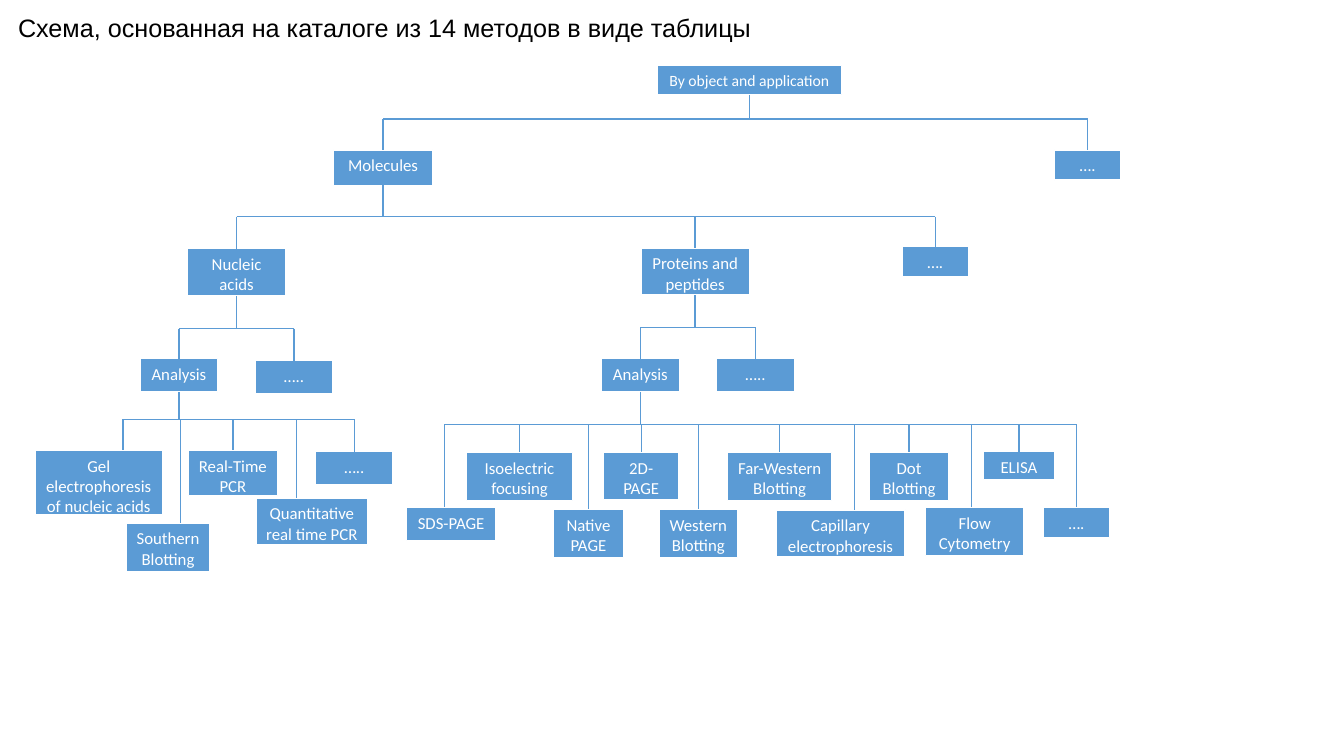
from collections import namedtuple
from dataclasses import dataclass

from lxml.etree import SubElement
from pptx import Presentation
from pptx.dml.color import RGBColor
from pptx.enum.shapes import MSO_CONNECTOR as ConnectorType, MSO_SHAPE as ShapeType
from pptx.enum.text import MSO_ANCHOR as Anchor, MSO_AUTO_SIZE as AutoSize, PP_ALIGN as Align
from pptx.oxml.ns import qn
from pptx.util import Cm, Pt


@dataclass(frozen=True)
class Theme:
    blue: RGBColor = RGBColor(0x5B, 0x9B, 0xD5)
    white: RGBColor = RGBColor(0xFF, 0xFF, 0xFF)
    black: RGBColor = RGBColor(0, 0, 0)
    title_font: str = "Arial"
    node_font: str = "Calibri"
    title_size: float = 18
    root_size: float = 11.2
    node_size: float = 12
    line_width: float = 1


THEME = Theme()
Box = namedtuple("Box", "left top width height")
# Lengths in cm from the corner of the level; drop is the x of an off-centre line
Node = namedtuple("Node", "text left top width height drop", defaults=[None])

ROOT = Box(16.56, 1.65, 4.65, 0.74)
TITLE = Box(0.2, 0.18, 19.18, 1.02)

# Each level: corner (its top is the horizontal line) and its nodes
OBJECT_LEVEL = (8.41, 3.0), [
    Node("Molecules", 0, 0.78, 2.49, 0.89),
    Node("….", 18.16, 0.78, 1.68, 0.76),
]
MOLECULE_LEVEL = (4.72, 5.46), [
    Node("Nucleic acids", 0, 0.81, 2.49, 1.19),
    Node("Proteins and peptides", 11.43, 0.79, 2.74, 1.19),
    Node("….", 18.01, 0.76, 1.68, 0.76),
]
NUCLEIC_LEVEL = (3.53, 8.28), [
    Node("Analysis", 0, 0.76, 1.96, 0.84),
    Node("…..", 2.9, 0.81, 1.96, 0.84),
]
PROTEIN_LEVEL = (15.16, 8.26), [
    Node("Analysis", 0, 0.78, 1.96, 0.84),
    Node("…..", 2.9, 0.78, 1.96, 0.84),
]
NUCLEIC_METHODS = (0.89, 10.57), [
    Node("Gel electrophoresis of nucleic acids", 0, 0.78, 3.2, 1.63, 2.21),
    Node("Southern Blotting", 2.29, 2.61, 2.11, 1.24, 3.66),
    Node("Real-Time PCR", 3.86, 0.78, 2.24, 1.14),
    Node("Quantitative real time PCR", 5.56, 1.98, 2.82, 1.19, 6.58),
    Node("…..", 7.06, 0.81, 1.96, 0.84),
]
PROTEIN_METHODS = (10.24, 10.69), [
    Node("SDS-PAGE", 0, 2.09, 2.26, 0.84, 0.96),
    Node("Isoelectric focusing", 1.52, 0.71, 2.67, 1.22),
    Node("Native PAGE", 3.7, 2.14, 1.78, 1.22),
    Node("2D-PAGE", 4.97, 0.71, 1.9, 1.19),
    Node("Western Blotting", 6.37, 2.14, 1.98, 1.22),
    Node("Far-Western Blotting", 8.1, 0.71, 2.62, 1.22),
    Node("Capillary electrophoresis", 9.32, 2.16, 3.25, 1.17, 11.3),
    Node("Dot Blotting", 11.68, 0.71, 1.98, 1.22),
    Node("Flow Cytometry", 13.08, 2.09, 2.49, 1.22, 14.25),
    Node("ELISA", 14.55, 0.69, 1.78, 0.71),
    Node("….", 16.05, 2.09, 1.68, 0.76),
]


def apply_format(target, values):
    for name, value in values.items():
        setattr(target, name, value)


def write_text(shape, text, alignment, frame_format, font_format, color):
    frame = shape.text_frame
    apply_format(frame, frame_format)
    paragraph = frame.paragraphs[0]
    paragraph.alignment = alignment
    run = paragraph.add_run()
    run.text = text
    apply_format(run.font, font_format)
    run.font.color.rgb = color


def add_title(slide, box, text):
    title = slide.shapes.title
    apply_format(title, {name: Cm(value) for name, value in box._asdict().items()})
    write_text(title, text, Align.LEFT,
               {"word_wrap": False, "auto_size": AutoSize.SHAPE_TO_FIT_TEXT,
                "vertical_anchor": Anchor.TOP},
               {"name": THEME.title_font, "size": Pt(THEME.title_size)}, THEME.black)


def add_node(slide, box, text, size=THEME.node_size):
    shape = slide.shapes.add_shape(ShapeType.RECTANGLE, *map(Cm, box))
    shape.shadow.inherit = False
    shape.fill.solid()
    shape.fill.fore_color.rgb = THEME.blue
    shape.line.color.rgb = THEME.white
    shape.line.width = Pt(THEME.line_width)
    write_text(shape, text, Align.CENTER,
               {"word_wrap": True, "vertical_anchor": Anchor.TOP,
                "margin_left": Cm(0.24), "margin_right": Cm(0.24),
                "margin_top": Cm(0.13), "margin_bottom": Cm(0.13)},
               {"name": THEME.node_font, "size": Pt(size)}, THEME.white)
    return shape


def add_line(slide, *ends):
    line = slide.shapes.add_connector(ConnectorType.STRAIGHT, *ends)
    line.line.color.rgb = THEME.blue
    line.line.width = Pt(THEME.line_width)
    SubElement(line._element.spPr, qn("a:effectLst"))
    return line


def add_level(slide, parent, level):
    """Draw the children of a node, joined to it by one horizontal line."""
    (left, top), nodes = level
    rail = Cm(top)
    shapes, drops = [], []
    for node in nodes:
        box = Box(left + node.left, top + node.top, node.width, node.height)
        shape = add_node(slide, box, node.text)
        centred = node.drop is None
        x = shape.left + shape.width // 2 if centred else Cm(left + node.drop)
        drop = add_line(slide, x, rail, x, shape.top)
        if centred:
            drop.end_connect(shape, 0)
        shapes.append(shape)
        drops.append(x)

    # Horizontal line and the stem from the parent
    add_line(slide, min(drops), rail, max(drops), rail)
    x = parent.left + parent.width // 2
    stem = add_line(slide, x, parent.top + parent.height, x, rail)
    stem.begin_connect(parent, 2)
    return shapes


def add_tree(slide, box):
    root = add_node(slide, box, "By object and application", THEME.root_size)
    molecules, _ = add_level(slide, root, OBJECT_LEVEL)
    nucleic_acids, proteins, _ = add_level(slide, molecules, MOLECULE_LEVEL)
    for parent, level, methods in (
        (nucleic_acids, NUCLEIC_LEVEL, NUCLEIC_METHODS),
        (proteins, PROTEIN_LEVEL, PROTEIN_METHODS),
    ):
        analysis, _ = add_level(slide, parent, level)
        add_level(slide, analysis, methods)


def main():
    presentation = Presentation()
    presentation.slide_width, presentation.slide_height = Cm(33.87), Cm(19.05)
    slide = presentation.slides.add_slide(presentation.slide_layouts[5])
    add_tree(slide, ROOT)
    add_title(slide, TITLE, "Схема, основанная на каталоге из 14 методов в виде таблицы")
    presentation.save("out.pptx")


if __name__ == "__main__":
    main()
